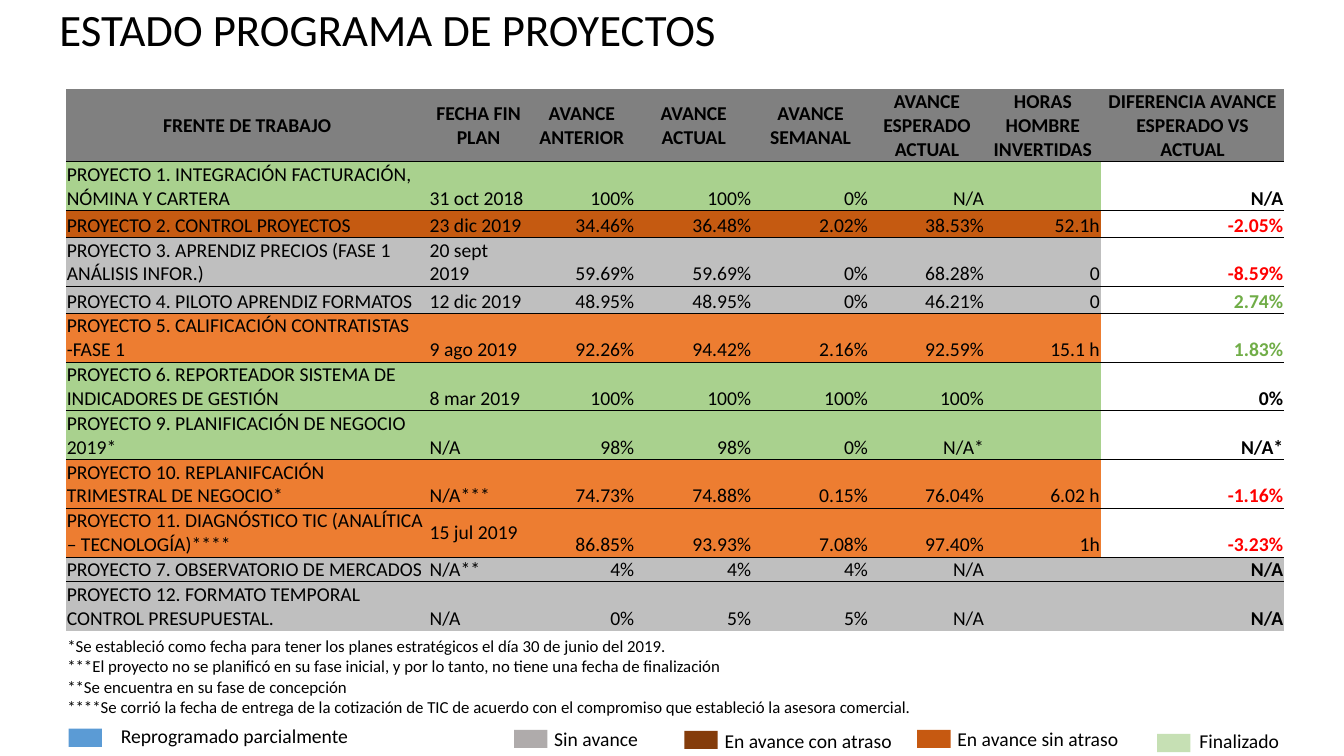
from dataclasses import dataclass

from lxml import etree
from pptx import Presentation
from pptx import util as u
from pptx.dml import color
from pptx.enum import shapes, text
from pptx.oxml import ns

TITLE = "ESTADO PROGRAMA DE PROYECTOS"
HEADINGS = (
    "FRENTE DE TRABAJO", "FECHA FIN PLAN", "AVANCE ANTERIOR", "AVANCE ACTUAL",
    "AVANCE SEMANAL", "AVANCE ESPERADO ACTUAL", "HORAS HOMBRE INVERTIDAS",
    "DIFERENCIA AVANCE ESPERADO VS ACTUAL",
)
PROJECTS = [
    ("finished", "PROYECTO 1. INTEGRACIÓN FACTURACIÓN, NÓMINA Y CARTERA",
     "31 oct 2018", "100%", "100%", "0%", "N/A", "", "N/A"),
    ("late", "PROYECTO 2. CONTROL PROYECTOS",
     "23 dic 2019", "34.46%", "36.48%", "2.02%", "38.53%", "52.1h", "-2.05%"),
    ("stalled", "PROYECTO 3. APRENDIZ PRECIOS (FASE 1 ANÁLISIS INFOR.)",
     "20 sept 2019", "59.69%", "59.69%", "0%", "68.28%", "0", "-8.59%"),
    ("stalled", "PROYECTO 4. PILOTO APRENDIZ FORMATOS",
     "12 dic 2019", "48.95%", "48.95%", "0%", "46.21%", "0", "2.74%"),
    ("active", "PROYECTO 5. CALIFICACIÓN CONTRATISTAS -FASE 1",
     "9 ago 2019", "92.26%", "94.42%", "2.16%", "92.59%", "15.1 h", "1.83%"),
    ("finished", "PROYECTO 6. REPORTEADOR SISTEMA DE INDICADORES DE GESTIÓN",
     "8 mar 2019", "100%", "100%", "100%", "100%", "", "0%"),
    ("finished", "PROYECTO 9. PLANIFICACIÓN DE NEGOCIO 2019*",
     "N/A", "98%", "98%", "0%", "N/A*", "", "N/A*"),
    ("active", "PROYECTO 10. REPLANIFCACIÓN TRIMESTRAL DE NEGOCIO*",
     "N/A***", "74.73%", "74.88%", "0.15%", "76.04%", "6.02 h", "-1.16%"),
    ("active", "PROYECTO 11. DIAGNÓSTICO TIC (ANALÍTICA – TECNOLOGÍA)****",
     "15 jul 2019", "86.85%", "93.93%", "7.08%", "97.40%", "1h", "-3.23%"),
    ("pending", "PROYECTO 7. OBSERVATORIO DE MERCADOS",
     "N/A**", "4%", "4%", "4%", "N/A", "", "N/A"),
    ("pending", "PROYECTO 12. FORMATO TEMPORAL CONTROL PRESUPUESTAL.",
     "N/A", "0%", "5%", "5%", "N/A", "", "N/A"),
]
MIDDLE_DATES = {"15 jul 2019"}
FOOTNOTES = [
    "*Se estableció como fecha para tener los planes estratégicos el día 30 de junio del 2019.",
    "***El proyecto no se planificó en su fase inicial, y por lo tanto, no tiene una fecha de finalización",
    "**Se encuentra en su fase de concepción",
    "****Se corrió la fecha de entrega de la cotización de TIC de acuerdo con el compromiso que estableció la asesora comercial.",
]
LEGEND = [
    ("Reprogramado parcialmente", "5B9BD5", (49, 520.5), (79.2, 513.4), 214),
    ("Sin avance", "AFABAB", (367.2, 521.3), (388.8, 515.5), 94),
    ("En avance con atraso", "843C0B", (488.9, 522), (510.5, 517), 139),
    ("En avance sin atraso", "C65911", (655.2, 521.3), (676.8, 515.5), 139),
    ("Finalizado", "C6E0B4", (826.6, 524.2), (849.6, 517), 74),
]
COLUMN_WIDTHS = (259.2, 71.3, 76.3, 83.5, 83.5, 82.8, 82.8, 131)
ROW_HEIGHTS = (51.4, 34.4, 19.4, 34.4, 19.4, 34.4, 34.4, 34.4, 34.4, 34.4, 17.2, 34.4)
SWATCH = (23.8, 13)


@dataclass(frozen=True)
class Theme:
    font: str = "Calibri"
    ink: str = "000000"
    paper: str = "FFFFFF"
    heading: str = "808080"
    finished: str = "A9D18E"
    late: str = "C55A11"
    stalled: str = "BFBFBF"
    pending: str = "BFBFBF"
    active: str = "ED7D31"
    behind: str = "FF0000"
    ahead: str = "70AD47"
    title_size: int = 32
    base_size: int = 14
    note_size: int = 12


THEME = Theme()
PLAIN_TABLE = "{2D5ABB26-0587-4C30-8999-92F81FD0307C}"


def assign(target, **values):
    for key, value in values.items():
        setattr(target, key, value)


def rgb(code):
    return color.RGBColor.from_string(code)


def write(paragraph, words, size, ink=THEME.ink, bold=False, align=text.PP_ALIGN.LEFT):
    paragraph.alignment = align
    if words:
        font = paragraph.add_run().font
        paragraph.runs[0].text = words
        assign(font, name=THEME.font, size=u.Pt(size), bold=bold)
        font.color.rgb = rgb(ink)
    else:
        etree.SubElement(paragraph._p, ns.qn("a:endParaRPr"), sz=str(size * 100))


def place_text(slide, box, lines, size):
    frame = slide.shapes.add_textbox(*map(u.Pt, box)).text_frame
    frame.word_wrap = True
    for i, line in enumerate(lines):
        write(frame.add_paragraph() if i else frame.paragraphs[0], line, size)


def rule(cell, side):
    line = etree.SubElement(cell._tc.get_or_add_tcPr(), ns.qn(f"a:{side}"), w="6350")
    fill = etree.SubElement(line, ns.qn("a:solidFill"))
    etree.SubElement(fill, ns.qn("a:srgbClr"), val=THEME.ink)


def fill_cell(cell, words, fill, anchor, sides, **style):
    edge = u.Pt(0.72)
    assign(cell, margin_left=edge, margin_right=edge, margin_top=edge,
           margin_bottom=0, vertical_anchor=anchor)
    for side in sides:
        rule(cell, side)
    cell.fill.solid()
    cell.fill.fore_color.rgb = rgb(fill)
    write(cell.text_frame.paragraphs[0], words, THEME.base_size, **style)


def difference_ink(value):
    if value.startswith("-"):
        return THEME.behind
    return THEME.ahead if value.endswith("%") and value != "0%" else THEME.ink


def add_status_table(slide):
    status = slide.shapes.add_table(
        len(PROJECTS) + 1, len(HEADINGS), u.Pt(47), u.Pt(63.5),
        u.Pt(sum(COLUMN_WIDTHS)), u.Pt(sum(ROW_HEIGHTS))).table
    assign(status, first_row=False, horz_banding=False)
    status._tbl.tblPr.find(ns.qn("a:tableStyleId")).text = PLAIN_TABLE
    for column, width in zip(status.columns, COLUMN_WIDTHS):
        column.width = u.Pt(width)
    for row, height in zip(status.rows, ROW_HEIGHTS):
        row.height = u.Pt(height)
    for c, heading in enumerate(HEADINGS):
        fill_cell(status.cell(0, c), heading, THEME.heading, text.MSO_ANCHOR.MIDDLE,
                  ["lnB"], bold=True, align=text.PP_ALIGN.CENTER)
    difference = len(HEADINGS) - 1
    for r, (state, *values) in enumerate(PROJECTS, 1):
        sides = ["lnT", "lnB"] if r < len(PROJECTS) else ["lnT"]
        for c, value in enumerate(values):
            last = c == difference
            fill_cell(
                status.cell(r, c), value,
                THEME.paper if last and state != "pending" else getattr(THEME, state),
                text.MSO_ANCHOR.MIDDLE if value in MIDDLE_DATES else text.MSO_ANCHOR.BOTTOM,
                sides, bold=last, ink=difference_ink(value) if last else THEME.ink,
                align=text.PP_ALIGN.RIGHT if c > 1 else text.PP_ALIGN.LEFT)


def add_legend(slide):
    for label, fill, swatch_at, label_at, width in LEGEND:
        swatch = slide.shapes.add_shape(
            shapes.MSO_SHAPE.RECTANGLE, *map(u.Pt, swatch_at + SWATCH))
        swatch.shadow.inherit = False
        swatch.fill.solid()
        swatch.fill.fore_color.rgb = rgb(fill)
        swatch.line.fill.background()
        place_text(slide, (*label_at, width, 24.5), [label], THEME.base_size)


def main():
    deck = Presentation()
    assign(deck, slide_width=u.Pt(960), slide_height=u.Pt(540))
    slide = deck.slides.add_slide(deck.slide_layouts[5])
    title = slide.shapes.title
    assign(title, left=u.Pt(35.3), top=u.Pt(-2.2), width=u.Pt(689), height=u.Pt(46))
    assign(title.text_frame, word_wrap=True, auto_size=text.MSO_AUTO_SIZE.NONE,
           vertical_anchor=text.MSO_ANCHOR.TOP)
    write(title.text_frame.paragraphs[0], TITLE, THEME.title_size)
    add_status_table(slide)
    place_text(slide, (41, 450.7, 876, 65.5), FOOTNOTES, THEME.note_size)
    add_legend(slide)
    deck.save("out.pptx")


if __name__ == "__main__":
    main()
